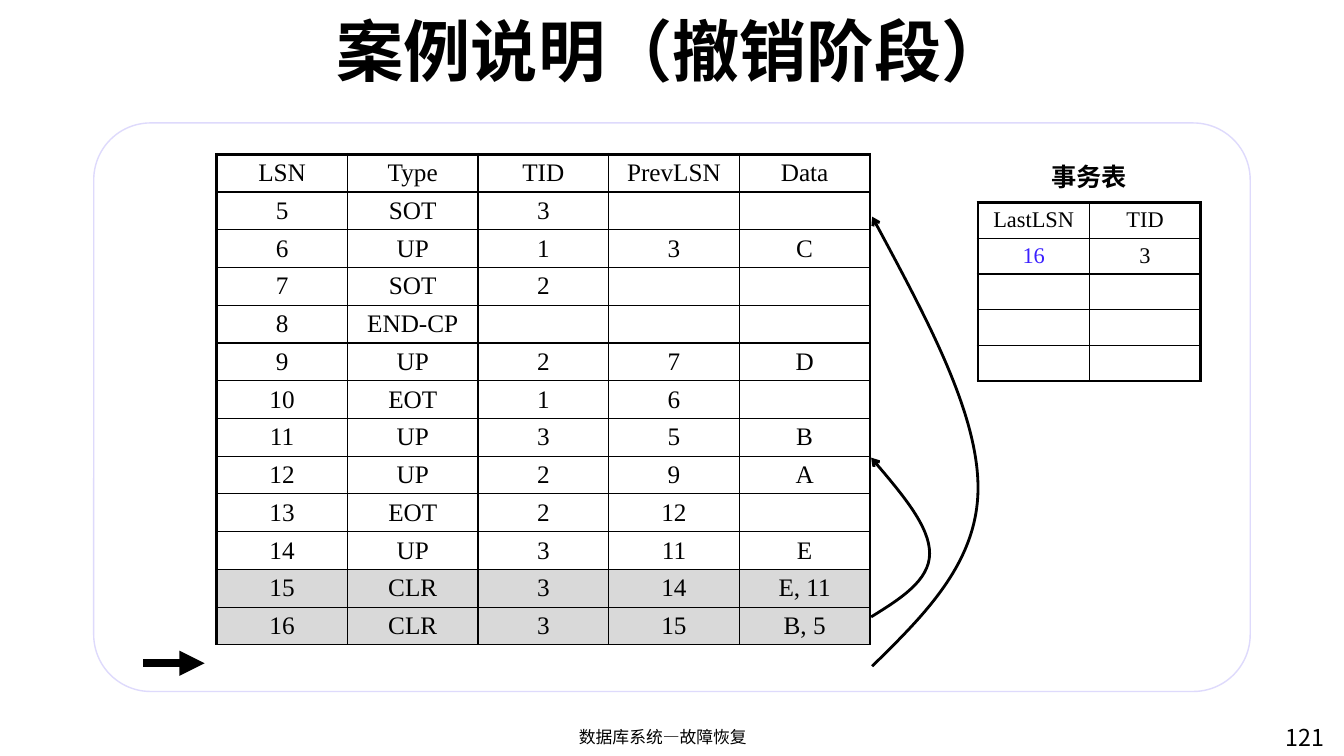
from dataclasses import dataclass

from lxml.etree import SubElement
from pptx import Presentation
from pptx.dml.color import RGBColor
from pptx.enum.shapes import MSO_CONNECTOR, MSO_SHAPE
from pptx.enum.text import MSO_ANCHOR, MSO_AUTO_SIZE, PP_ALIGN
from pptx.oxml import parse_xml
from pptx.oxml.ns import nsdecls, qn
from pptx.slide import Slide
from pptx.table import _Cell
from pptx.text.text import TextFrame
from pptx.util import Inches, Pt

BLACK = RGBColor(0, 0, 0)
WHITE = RGBColor(255, 255, 255)
GRAY = RGBColor(0xD9, 0xD9, 0xD9)
BLUE = RGBColor(0x3B, 0x20, 0xFF)
LAVENDER = RGBColor(0xDE, 0xDA, 0xFC)
CJK = "Noto Sans CJK SC"
SERIF = "Times New Roman"
THIN, THICK = 1, 2.25


@dataclass
class Label:
    text: str
    left: float
    top: float
    width: float
    height: float
    size: float
    align: PP_ALIGN = PP_ALIGN.LEFT
    bold: bool = False
    wrap: bool = True


@dataclass
class Grid:
    rows: list[list[str]]
    left: float
    top: float
    width: float
    height: float
    size: int
    bottom_width: float
    shaded: tuple[str, ...] = ()
    highlighted: tuple[tuple[int, int], ...] = ()


@dataclass
class UndoLink:
    start: tuple[float, float]
    curves: list[tuple[float, float]]


LOG = Grid(
    [
        ["LSN", "Type", "TID", "PrevLSN", "Data"],
        ["5", "SOT", "3", "", ""],
        ["6", "UP", "1", "3", "C"],
        ["7", "SOT", "2", "", ""],
        ["8", "END-CP", "", "", ""],
        ["9", "UP", "2", "7", "D"],
        ["10", "EOT", "1", "6", ""],
        ["11", "UP", "3", "5", "B"],
        ["12", "UP", "2", "9", "A"],
        ["13", "EOT", "2", "12", ""],
        ["14", "UP", "3", "11", "E"],
        ["15", "CLR", "3", "14", "E, 11"],
        ["16", "CLR", "3", "15", "B, 5"],
    ],
    2.15, 1.53, 6.48, 4.87, 18, THIN, shaded=("CLR",),
)
TRANSACTIONS = Grid(
    [["LastLSN", "TID"], ["16", "3"], ["", ""], ["", ""], ["", ""]],
    9.7, 2.01, 2.21, 1.77, 16, THICK, highlighted=((1, 0),),
)
LABELS = [
    Label("121", 12.65, 7.13, 0.84, 0.52, 16.6),
    Label("数据库系统—故障恢复", 4.47, 7.16, 4.21, 0.34, 12, PP_ALIGN.CENTER),
    Label("事务表", 10.33, 1.55, 0.96, 0.4, 18, bold=True, wrap=False),
]
UNDO_LINKS = [
    UndoLink((8.65, 6.61), [(9.17, 6.1), (9.7, 5.58), (9.7, 4.84),
                            (9.7, 4.1), (9.17, 3.12), (8.65, 2.15)]),
    UndoLink((8.64, 6.12), [(8.93, 5.94), (9.22, 5.76), (9.22, 5.49),
                            (9.22, 5.23), (8.93, 4.88), (8.64, 4.54)]),
]


def write(frame: TextFrame, text: str, size: float, font: str, align: PP_ALIGN,
          bold: bool = False, color: RGBColor = BLACK) -> None:
    paragraph = frame.paragraphs[0]
    paragraph.alignment = align
    run = paragraph.add_run()
    run.text = text
    run.font.size = Pt(size)
    run.font.name = font
    run.font.bold = bold
    run.font.color.rgb = color
    SubElement(run.font._element, qn("a:ea"), typeface=font)


def add_label(slide: Slide, label: Label) -> None:
    box = slide.shapes.add_textbox(Inches(label.left), Inches(label.top),
                                   Inches(label.width), Inches(label.height))
    box.text_frame.word_wrap = label.wrap
    write(box.text_frame, label.text, label.size, CJK, label.align, label.bold)


def set_borders(cell: _Cell, widths: dict[str, float]) -> None:
    properties = cell._tc.get_or_add_tcPr()
    for index, (side, width) in enumerate(widths.items()):
        properties.insert(index, parse_xml(
            f'<a:ln{side} {nsdecls("a")} w="{Pt(width)}"><a:solidFill>'
            f'<a:srgbClr val="{BLACK}"/></a:solidFill></a:ln{side}>'))


def add_grid(slide: Slide, grid: Grid) -> None:
    row_count, column_count = len(grid.rows), len(grid.rows[0])
    table = slide.shapes.add_table(
        row_count, column_count, Inches(grid.left), Inches(grid.top),
        Inches(grid.width), Inches(grid.height)).table
    table.first_row = table.horz_banding = False
    for column in table.columns:
        column.width = Inches(grid.width / column_count)
    for row in table.rows:
        row.height = Inches(grid.height / row_count)
    for r, values in enumerate(grid.rows):
        shaded = any(value in grid.shaded for value in values)
        for c, value in enumerate(values):
            cell = table.cell(r, c)
            cell.vertical_anchor = MSO_ANCHOR.MIDDLE
            cell.margin_top = cell.margin_bottom = Inches(0.04)
            cell.fill.solid()
            cell.fill.fore_color.rgb = GRAY if shaded else WHITE
            if value:
                color = BLUE if (r, c) in grid.highlighted else BLACK
                write(cell.text_frame, value, grid.size, SERIF, PP_ALIGN.CENTER, color=color)
            else:
                SubElement(cell.text_frame.paragraphs[0]._p, qn("a:endParaRPr"), sz="1200")
            set_borders(cell, {
                "L": THIN if c else THICK,
                "R": THICK if c == column_count - 1 else THIN,
                "T": THIN if r else THICK,
                "B": grid.bottom_width if r == row_count - 1 else THIN,
            })


def add_undo_link(slide: Slide, link: UndoLink) -> None:
    start_x, start_y = link.start
    builder = slide.shapes.build_freeform(Inches(start_x), Inches(start_y))
    builder.add_line_segments([(Inches(x), Inches(y)) for x, y in link.curves], close=False)
    arrow = builder.convert_to_shape()
    arrow.shadow.inherit = False
    arrow.fill.background()
    arrow.line.color.rgb = BLACK
    arrow.line.width = Pt(2)
    SubElement(arrow.line._get_or_add_ln(), qn("a:tailEnd"), type="arrow")
    outline = next(arrow._element.iter(qn("a:path")))
    segments = outline.findall(qn("a:lnTo"))
    for first in range(0, len(segments), 3):
        curve = SubElement(outline, qn("a:cubicBezTo"))
        for segment in segments[first:first + 3]:
            curve.append(segment[0])
            outline.remove(segment)


def add_log_pointer(slide: Slide) -> None:
    pointer = slide.shapes.add_connector(MSO_CONNECTOR.STRAIGHT, Inches(1.42), Inches(6.58),
                                         Inches(2.03), Inches(6.58))
    pointer.line.color.rgb = BLACK
    pointer.line.width = Pt(6)
    SubElement(pointer.line._get_or_add_ln(), qn("a:tailEnd"), type="triangle")
    SubElement(pointer._element.spPr, qn("a:effectLst"))


def main() -> None:
    deck = Presentation()
    deck.slide_width, deck.slide_height = Inches(13.33), Inches(7.5)
    slide = deck.slides.add_slide(deck.slide_layouts[5])

    panel = slide.shapes.add_shape(MSO_SHAPE.ROUNDED_RECTANGLE, Inches(0.93), Inches(1.22),
                                   Inches(11.47), Inches(5.64))
    panel.adjustments[0] = 0.1
    panel.shadow.inherit = False
    panel.fill.solid()
    panel.fill.fore_color.rgb = WHITE
    panel.line.color.rgb = LAVENDER
    panel.line.width = Pt(1)

    title = slide.shapes.title
    title.left, title.top = Inches(1.15), Inches(0.12)
    title.width, title.height = Inches(11.04), Inches(0.74)
    title.text_frame.vertical_anchor = MSO_ANCHOR.MIDDLE
    title.text_frame.auto_size = MSO_AUTO_SIZE.NONE
    write(title.text_frame, "案例说明（撤销阶段）", 48, CJK, PP_ALIGN.CENTER, bold=True)

    for grid in (LOG, TRANSACTIONS):
        add_grid(slide, grid)
    for link in UNDO_LINKS:
        add_undo_link(slide, link)
    for label in LABELS:
        add_label(slide, label)
    add_log_pointer(slide)
    deck.save("out.pptx")


if __name__ == "__main__":
    main()
